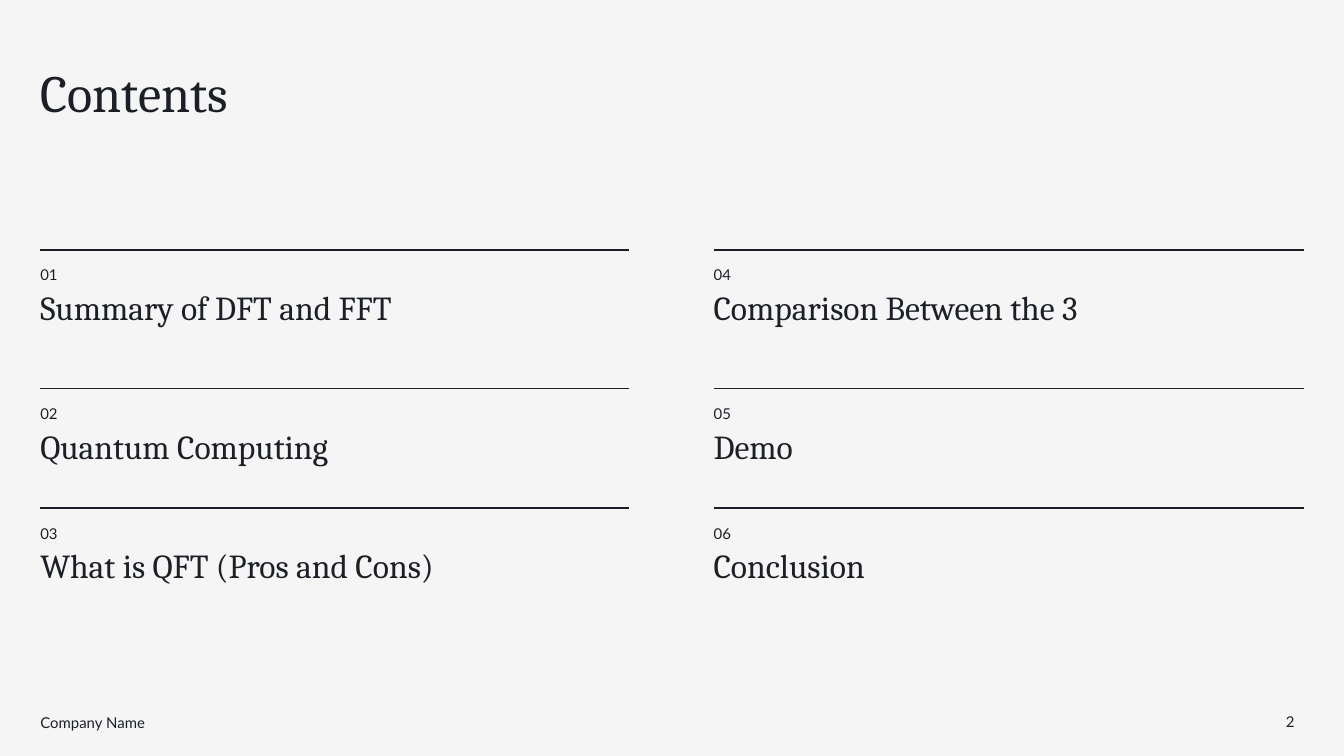
from pptx import Presentation
from pptx.dml.color import RGBColor
from pptx.enum.shapes import MSO_CONNECTOR as Link
from pptx.enum.text import MSO_ANCHOR as Anchor
from pptx.oxml.ns import qn
from pptx.util import Inches, Pt
from lxml import etree

INK = "1C2026"
PAPER = "F5F5F5"
HEAD = {"font": "Cambria", "size": 28, "lead": 0.9}
TOPIC = {"font": "Cambria", "size": 18, "lead": 0.9}
SMALL = {"font": "Lato", "size": 8, "lead": 1.15}
PAGE = {"font": "Lato", "size": 8, "lead": 1.0}

COLS = [
    (0.3, 4.68, ["Summary of DFT and FFT", "Quantum Computing", "What is QFT (Pros and Cons)"]),
    (5.31, 9.7, ["Comparison Between the 3", "Demo", "Conclusion"]),
]
ROWS = [1.86, 2.89, 3.78]


def color(code):
    return RGBColor.from_string(code)


def add_text(slide, text, box, style, anchor=Anchor.TOP, pad=0):
    frame = slide.shapes.add_textbox(*map(Inches, box)).text_frame
    gap = Inches(pad)
    form = {
        "word_wrap": True, "vertical_anchor": anchor,
        "margin_left": gap, "margin_right": gap,
        "margin_top": gap, "margin_bottom": gap,
    }
    for key, value in form.items():
        setattr(frame, key, value)
    para = frame.paragraphs[0]
    para.line_spacing = style["lead"]
    run = para.add_run()
    run.text = text
    for key, value in {"name": style["font"], "size": Pt(style["size"])}.items():
        setattr(run.font, key, value)
    run.font.color.rgb = color(INK)


def add_rule(slide, left, right, top):
    ends = map(Inches, (right, top, left, top))
    rule = slide.shapes.add_connector(Link.STRAIGHT, *ends)
    rule.line.color.rgb = color(INK)
    rule.line.width = Pt(0.75)
    etree.SubElement(rule._element.spPr, qn("a:effectLst"))


def main():
    deck = Presentation()
    deck.slide_width = Inches(10)
    deck.slide_height = deck.slide_width * 9 // 16
    slide = deck.slides.add_slide(deck.slide_layouts[6])
    fill = slide.background.fill
    fill.solid()
    fill.fore_color.rgb = color(PAPER)

    add_text(slide, "Contents", (0.3, 0.5, 9.4, 0.42), HEAD)
    for col, (left, right, topics) in enumerate(COLS):
        start = col * len(ROWS) + 1
        for num, (top, topic) in enumerate(zip(ROWS, topics), start):
            add_rule(slide, left, right, top)
            add_text(slide, f"{num:02}", (left, top + 0.1, 1.98, 0.15), SMALL)
            add_text(slide, topic, (left, top + 0.31, 3.66, 0.27), TOPIC)
    add_text(slide, "Company Name", (0.3, 5.27, 2.2, 0.2), SMALL, Anchor.MIDDLE)
    add_text(slide, "2", (9.47, 5.27, 0.37, 0.2), PAGE, Anchor.MIDDLE, 0.1)
    deck.save("out.pptx")


if __name__ == "__main__":
    main()
